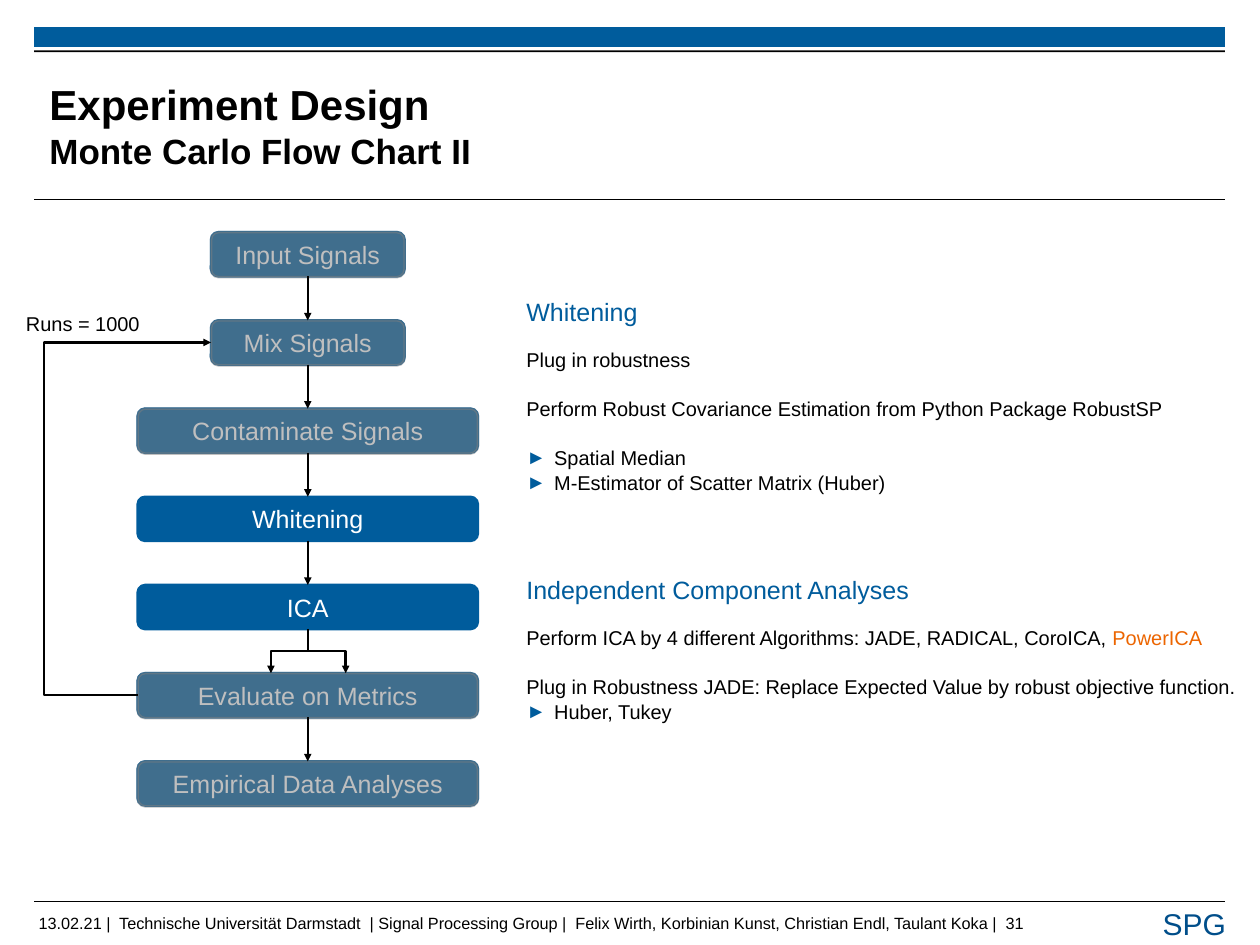
from itertools import pairwise

from lxml.etree import SubElement
from pptx import Presentation
from pptx.dml.color import RGBColor
from pptx.enum.shapes import MSO_CONNECTOR, MSO_SHAPE
from pptx.enum.text import MSO_ANCHOR, PP_ALIGN
from pptx.oxml.ns import qn
from pptx.util import Inches, Pt

BLUE = RGBColor(0x00, 0x5C, 0x9C)
DARK_BLUE = RGBColor(0x00, 0x4E, 0x8A)
ORANGE = RGBColor(0xEC, 0x65, 0x00)
GRAY = RGBColor(0x80, 0x80, 0x80)
BLACK = RGBColor(0x00, 0x00, 0x00)
WHITE = RGBColor(0xFF, 0xFF, 0xFF)

# Step, width, dimmed
STEPS = [
    ("Input Signals", 2.15, True),
    ("Mix Signals", 2.15, True),
    ("Contaminate Signals", 3.78, True),
    ("Whitening", 3.78, False),
    ("ICA", 3.78, False),
    ("Evaluate on Metrics", 3.78, True),
    ("Empirical Data Analyses", 3.78, True),
]
STEP_HEIGHT = 0.49
STEP_PITCH = 0.98

# Each paragraph: runs of (text, colour), bulleted, gap before in points
WHITENING_NOTES = [
    ([("Plug in robustness", BLACK)], False, 0),
    ([("Perform Robust Covariance Estimation from Python Package RobustSP", BLACK)], False, 19.2),
    ([("Spatial Median", BLACK)], True, 19.2),
    ([("M-Estimator of Scatter Matrix (Huber)", BLACK)], True, 0),
]
ICA_NOTES = [
    ([("Perform ICA by 4 different Algorithms: JADE, RADICAL, CoroICA, ", BLACK),
      ("PowerICA", ORANGE)], False, 0),
    ([("Plug in Robustness JADE: Replace Expected Value by robust objective function.", BLACK)],
     False, 19.2),
    ([("Huber, Tukey", BLACK)], True, 0),
]
FOOTER = ("13.02.21 |  Technische Universität Darmstadt  | Signal Processing Group |  "
          "Felix Wirth, Korbinian Kunst, Christian Endl, Taulant Koka |  31")


def add_run(paragraph, text, size, color, bold=False):
    run = paragraph.add_run()
    run.text = text
    font_format = {"name": "Arial", "size": Pt(size), "bold": bold}
    for attribute, value in font_format.items():
        setattr(run.font, attribute, value)
    run.font.color.rgb = color


def add_text_frame(slide, left, top, width, height, wrap=True, inset=True):
    box = slide.shapes.add_textbox(Inches(left), Inches(top), Inches(width), Inches(height))
    frame = box.text_frame
    frame.word_wrap = wrap
    if not inset:
        for side in ("left", "top", "right", "bottom"):
            setattr(frame, f"margin_{side}", 0)
    return frame


def add_label(slide, text, left, top, width, height, size, color, inset=True):
    frame = add_text_frame(slide, left, top, width, height, wrap=False, inset=inset)
    add_run(frame.paragraphs[0], text, size, color)


def add_block(slide, kind, left, top, width, height, fill):
    block = slide.shapes.add_shape(
        kind, Inches(left), Inches(top), Inches(width), Inches(height))
    block.shadow.inherit = False
    block.fill.solid()
    block.fill.fore_color.rgb = fill
    block.line.fill.background()
    return block


def add_outline(block, color):
    block.line.color.rgb = color
    block.line.width = Pt(2)


def add_line(slide, start, end, width=2, kind=MSO_CONNECTOR.STRAIGHT, arrow=True):
    line = slide.shapes.add_connector(kind, *map(Inches, (*start, *end)))
    line.line.color.rgb = BLACK
    line.line.width = Pt(width)
    properties = line.element.spPr
    if arrow:
        SubElement(properties.find(qn("a:ln")), qn("a:tailEnd"), type="triangle")
    SubElement(properties, qn("a:effectLst"))
    return line


def add_branch(slide, start, end):
    """Elbow that leaves downwards, turns sideways and arrives downwards."""
    (x1, y1), (x2, y2) = start, end
    drop, spread = y2 - y1, abs(x2 - x1)
    left, top = (x1 + x2 - drop) / 2, (y1 + y2 - spread) / 2
    near, far = (left, left + drop) if x2 < x1 else (left + drop, left)
    elbow = add_line(slide, (near, top), (far, top + spread), kind=MSO_CONNECTOR.ELBOW)
    turn = 90 if x2 < x1 else 270
    elbow.element.spPr.find(qn("a:xfrm")).set("rot", str(turn * 60000))


def add_loop(slide, start, end, reach):
    """Elbow that returns to an earlier step, passing reach inches left of its start."""
    elbow = add_line(slide, start, end, kind=MSO_CONNECTOR.ELBOW)
    ratio = round(-reach / (end[0] - start[0]) * 100000)
    guides = elbow.element.spPr.find(qn("a:prstGeom")).find(qn("a:avLst"))
    SubElement(guides, qn("a:gd"), name="adj1", fmla=f"val {ratio}")


def add_frame(slide, left, width):
    add_block(slide, MSO_SHAPE.RECTANGLE, left, 0.3, width, 0.22, BLUE)
    add_block(slide, MSO_SHAPE.RECTANGLE, left, 0.56, width, 0.02, BLACK)
    for y in (2.22, 10.01):
        add_line(slide, (left, y), (left + width, y), width=0.6, arrow=False)
    add_label(slide, FOOTER, left + 0.05, 10.15, 11.2, 0.22, 13, BLACK, inset=False)
    add_label(slide, "SPG", 12.82, 10.01, 0.93, 0.5, 24, DARK_BLUE)


def add_title(slide, left, top, width, height):
    frame = add_text_frame(slide, left, top, width, height, inset=False)
    frame.vertical_anchor = MSO_ANCHOR.MIDDLE
    heading = frame.paragraphs[0]
    add_run(heading, "Experiment Design", 33.6, BLACK, bold=True)
    heading.add_line_break()
    add_run(heading, "Monte Carlo Flow Chart II", 28, BLACK, bold=True)


def add_step(slide, name, left, top, width, dimmed):
    step = add_block(slide, MSO_SHAPE.ROUNDED_RECTANGLE, left, top, width, STEP_HEIGHT, BLUE)
    add_outline(step, BLUE)
    step.text_frame.vertical_anchor = MSO_ANCHOR.MIDDLE
    paragraph = step.text_frame.paragraphs[0]
    paragraph.alignment = PP_ALIGN.CENTER
    add_run(paragraph, name, 20, WHITE)
    if dimmed:
        veil = add_block(slide, MSO_SHAPE.ROUNDED_RECTANGLE, left, top, width, 0.5, GRAY)
        add_outline(veil, GRAY)
        for color in veil.element.spPr.iter(qn("a:srgbClr")):
            SubElement(color, qn("a:alpha"), val="50000")


def add_flow_chart(slide, center, top):
    tops = {name: top + row * STEP_PITCH for row, (name, *_) in enumerate(STEPS)}
    lefts = {name: center - width / 2 for name, width, _ in STEPS}
    for name, width, dimmed in STEPS:
        add_step(slide, name, lefts[name], tops[name], width, dimmed)

    for (name, *_), (following, *_) in pairwise(STEPS):
        start = (center, tops[name] + STEP_HEIGHT)
        if name == "ICA":
            for offset in (-0.41, 0.42):
                add_branch(slide, start, (center + offset, tops[following]))
        else:
            add_line(slide, start, (center, tops[following]))

    loop_start, loop_end = (
        (lefts[name], tops[name] + STEP_HEIGHT / 2)
        for name in ("Evaluate on Metrics", "Mix Signals"))
    add_loop(slide, loop_start, loop_end, reach=1.04)
    add_label(slide, "Runs = 1000", 0.19, loop_end[1] - 0.39, 1.48, 0.37, 16, BLACK)


def add_notes_section(slide, heading, notes, left, top, width, height):
    add_label(slide, heading, left, top, width, 0.44, 20, BLUE)
    frame = add_text_frame(slide, left, top + 0.56, width, height - 0.56)
    for index, (runs, bulleted, gap) in enumerate(notes):
        paragraph = frame.add_paragraph() if index else frame.paragraphs[0]
        paragraph.line_spacing = 1.04
        if gap:
            paragraph.space_before = Pt(gap)
        if bulleted:
            properties = paragraph._p.get_or_add_pPr()
            properties.set("marL", str(Inches(0.31)))
            properties.set("indent", str(Inches(-0.31)))
            bullet_color = SubElement(properties, qn("a:buClr"))
            SubElement(bullet_color, qn("a:srgbClr"), val=str(BLUE))
            SubElement(properties, qn("a:buFont"), typeface="Arial")
            SubElement(properties, qn("a:buChar"), char="►")
        for text, color in runs:
            add_run(paragraph, text, 16, color)


def main():
    deck = Presentation()
    deck.slide_width, deck.slide_height = Inches(14), Inches(10.5)
    slide = deck.slides.add_slide(deck.slide_layouts[6])
    add_frame(slide, 0.38, 13.23)
    add_title(slide, 0.55, 0.75, 10.53, 1.28)
    add_flow_chart(slide, 3.42, 2.58)
    add_notes_section(slide, "Whitening", WHITENING_NOTES, 5.75, 3.24, 7.66, 2.28)
    add_notes_section(
        slide, "Independent Component Analyses", ICA_NOTES, 5.75, 6.33, 8.1, 2.54)
    deck.save("out.pptx")


if __name__ == "__main__":
    main()
